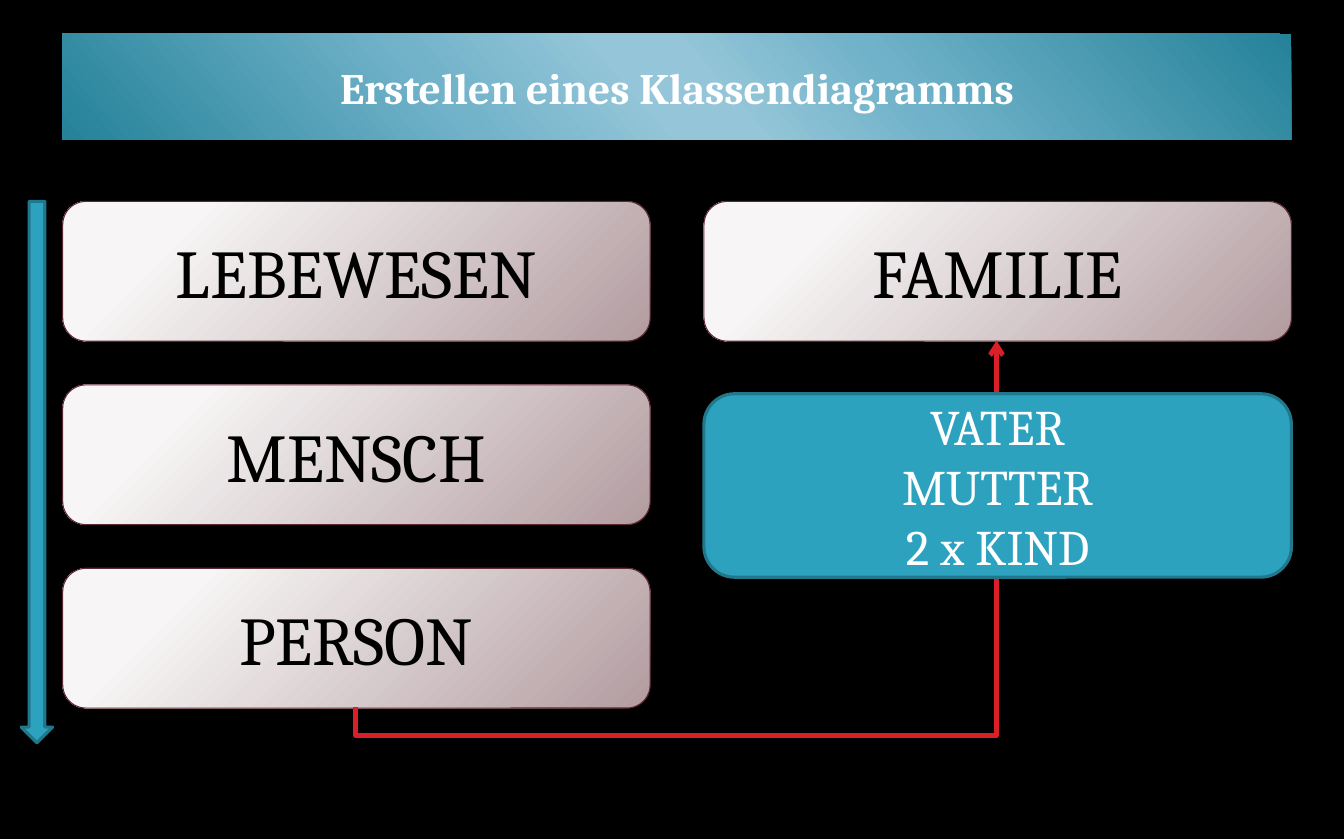
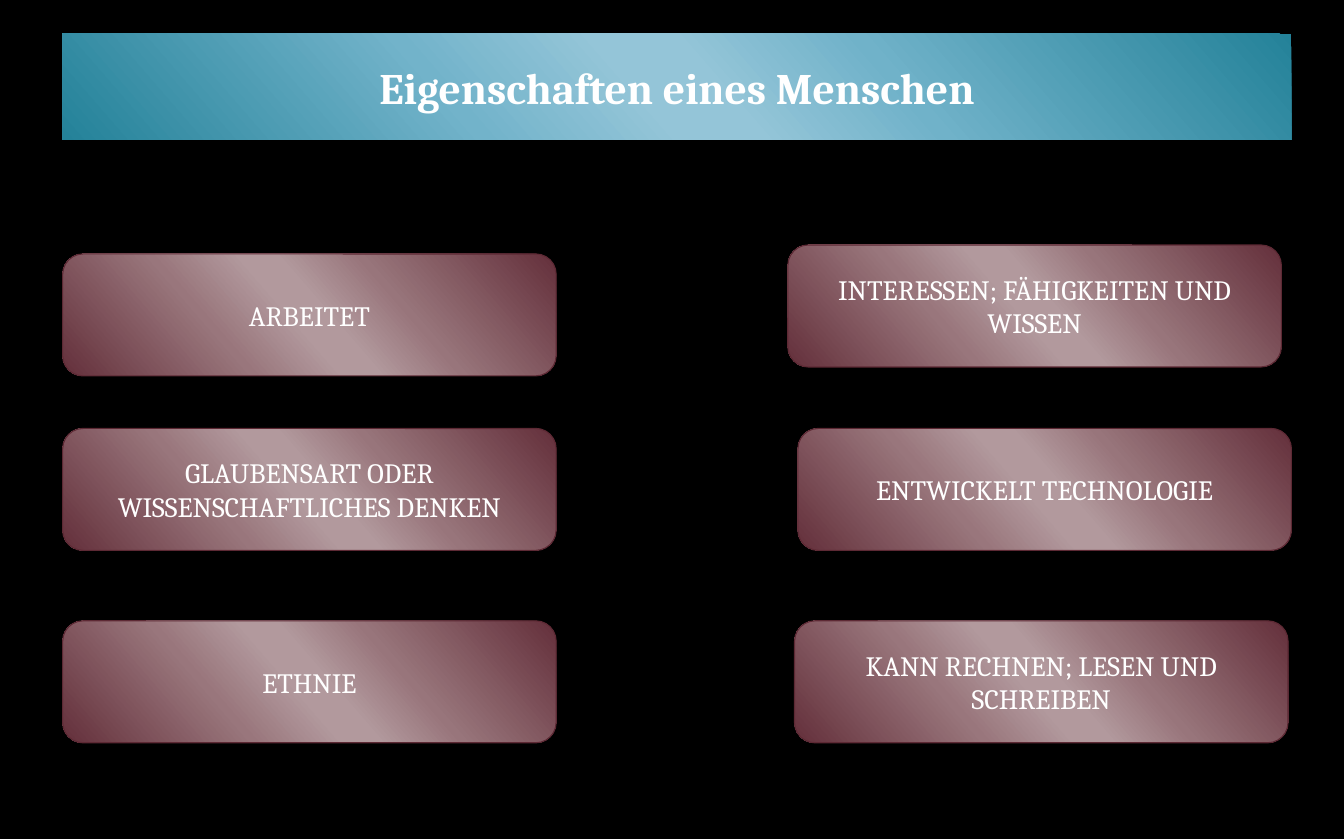
"""Build two slides on a class diagram: its hierarchy and the traits of a human."""
from lxml import etree
from pptx import Presentation
from pptx.dml.color import RGBColor
from pptx.enum.shapes import MSO_CONNECTOR, MSO_SHAPE
from pptx.enum.text import MSO_ANCHOR, PP_ALIGN
from pptx.oxml import parse_xml
from pptx.oxml.ns import nsdecls, qn
from pptx.util import Emu, Pt

RECT, ROUND, DOWN = MSO_SHAPE.RECTANGLE, MSO_SHAPE.ROUNDED_RECTANGLE, MSO_SHAPE.DOWN_ARROW
ELBOW = MSO_CONNECTOR.ELBOW
MIDDLE, CENTER = MSO_ANCHOR.MIDDLE, PP_ALIGN.CENTER

SCALE = 9144
WIDE, HIGH = 1201, 750
LEFT, SPAN = 56, 1098
RIGHT = LEFT + SPAN

HEAD = {"diagram": "Erstellen eines Klassendiagramms", "traits": "Eigenschaften eines Menschen"}
CHAIN = ["LEBEWESEN", "MENSCH", "PERSON"]
GROUP = "FAMILIE"
PARTS = ["VATER", "MUTTER", "2 x KIND"]
TRAITS = [
    (LEFT, 227, "ARBEITET"),
    (LEFT, 383, "GLAUBENSART ODER WISSENSCHAFTLICHES DENKEN"),
    (LEFT, 555, "ETHNIE"),
    (704, 219, "INTERESSEN; FÄHIGKEITEN UND WISSEN"),
    (713, 383, "ENTWICKELT TECHNOLOGIE"),
    (710, 555, "KANN RECHNEN; LESEN UND SCHREIBEN"),
]


class Theme:
    """Colours, fills and type of the deck."""
    font = "Cambria"
    back, dark, light = "000000", "000000", "FFFFFF"
    teal, edge, rim, red = "2DA2BF", "21788D", "5D2934", "DA1F28"
    title, large, medium, small = 28, 44, 32, 18
    thin, mid, thick = 0.75, 2, 3
    slant = '<a:lin ang="8350000" scaled="1"/>'
    glow = ('<a:path path="circle"><a:fillToRect l="-15000" t="-15000" '
            'r="115000" b="115000"/></a:path>')
    band = ([(0, "248299"), (33, "70B2C9"), (47, "94C5D8"), (53, "94C5D8"),
             (68, "72B3CA"), (100, "248299")], slant)
    wine = ([(0, "64303B"), (33, "98757B"), (47, "B2999D"), (53, "B2999D"),
             (68, "99767C"), (100, "64303B")], slant)
    pale = ([(20, "F7F5F5"), (100, "B29CA0")], glow)


def px(*vals):
    return [Emu(val * SCALE) for val in vals]


def rgb(code):
    return RGBColor.from_string(code)


def paint(shape, fill):
    if isinstance(fill, str):
        shape.fill.solid()
        shape.fill.fore_color.rgb = rgb(fill)
        return
    stops, way = fill
    marks = "".join(f'<a:gs pos="{pos * 1000}"><a:srgbClr val="{code}"/></a:gs>'
                    for pos, code in stops)
    grad = parse_xml(f'<a:gradFill {nsdecls("a")} rotWithShape="1">'
                     f'<a:gsLst>{marks}</a:gsLst>{way}</a:gradFill>')
    shape._element.spPr.find(qn("a:prstGeom")).addnext(grad)


def stroke(line, code, width):
    line.color.rgb = rgb(code)
    line.width = Pt(width)


def write(shape, rows, size, color, bold=False):
    frame = shape.text_frame
    frame.word_wrap = True
    frame.vertical_anchor = MIDDLE
    for num, row in enumerate(rows):
        para = frame.add_paragraph() if num else frame.paragraphs[0]
        para.alignment = CENTER
        run = para.add_run()
        run.text = row
        font = run.font
        font.name, font.size, font.bold = Theme.font, Pt(size), bold
        font.color.rgb = rgb(color)


def block(slide, kind, box, fill, line=None):
    shape = slide.shapes.add_shape(kind, *px(*box))
    shape.shadow.inherit = False
    paint(shape, fill)
    if line:
        stroke(shape.line, *line)
    else:
        shape.line.fill.background()
    return shape


def start(deck, head):
    slide = deck.slides.add_slide(deck.slide_layouts[6])
    slide.background.fill.solid()
    slide.background.fill.fore_color.rgb = rgb(Theme.back)
    bar = block(slide, RECT, (LEFT, 30, SPAN, 95), Theme.band)
    write(bar, [head], Theme.title, Theme.light, True)
    return slide


def link(slide, tail, tip, drop):
    """Join two points by a path that first runs down by drop, then across and up."""
    (x1, y1), (x2, y2) = tail, tip
    wide, high = y1 - y2, x2 - x1
    left, top = (x1 + x2 - wide) // 2, (y1 + y2 - high) // 2
    line = slide.shapes.add_connector(ELBOW, *px(left + wide, top + high, left, top))
    stroke(line.line, Theme.red, Theme.thick)
    props = line._element.spPr
    props.find(qn("a:xfrm")).set("rot", "5400000")
    guides = props.find(qn("a:prstGeom")).get_or_add_avLst()
    etree.SubElement(guides, qn("a:gd"), name="adj1", fmla=f"val {-drop * 100000 // wide}")
    etree.SubElement(props.find(qn("a:ln")), qn("a:tailEnd"), type="arrow")
    etree.SubElement(props, qn("a:effectLst"))


def diagram(deck):
    slide = start(deck, HEAD["diagram"])
    wide, high, top, step = 525, 125, 180, 164
    col = RIGHT - wide
    cards = [(LEFT, top + num * step, name) for num, name in enumerate(CHAIN)]
    for x, y, name in cards + [(col, top, GROUP)]:
        card = block(slide, ROUND, (x, y, wide, high), Theme.pale, (Theme.rim, Theme.thin))
        write(card, [name], Theme.large, Theme.dark)
    rim = (Theme.edge, Theme.mid)
    block(slide, DOWN, (19, top, 28, 484), Theme.teal, rim)
    low = cards[-1][1] + high
    link(slide, (LEFT + wide // 2, low), (col + wide // 2, top + high), 25)
    home = block(slide, ROUND, (col, 352, wide, 164), Theme.teal, rim)
    write(home, PARTS, Theme.medium, Theme.light)


def traits(deck):
    slide = start(deck, HEAD["traits"])
    for x, y, name in TRAITS:
        card = block(slide, ROUND, (x, y, 441, 109), Theme.wine, (Theme.rim, Theme.thin))
        write(card, [name], Theme.small, Theme.light)


def main():
    deck = Presentation()
    deck.slide_width, deck.slide_height = px(WIDE, HIGH)
    diagram(deck)
    traits(deck)
    deck.save("out.pptx")


if __name__ == "__main__":
    main()
